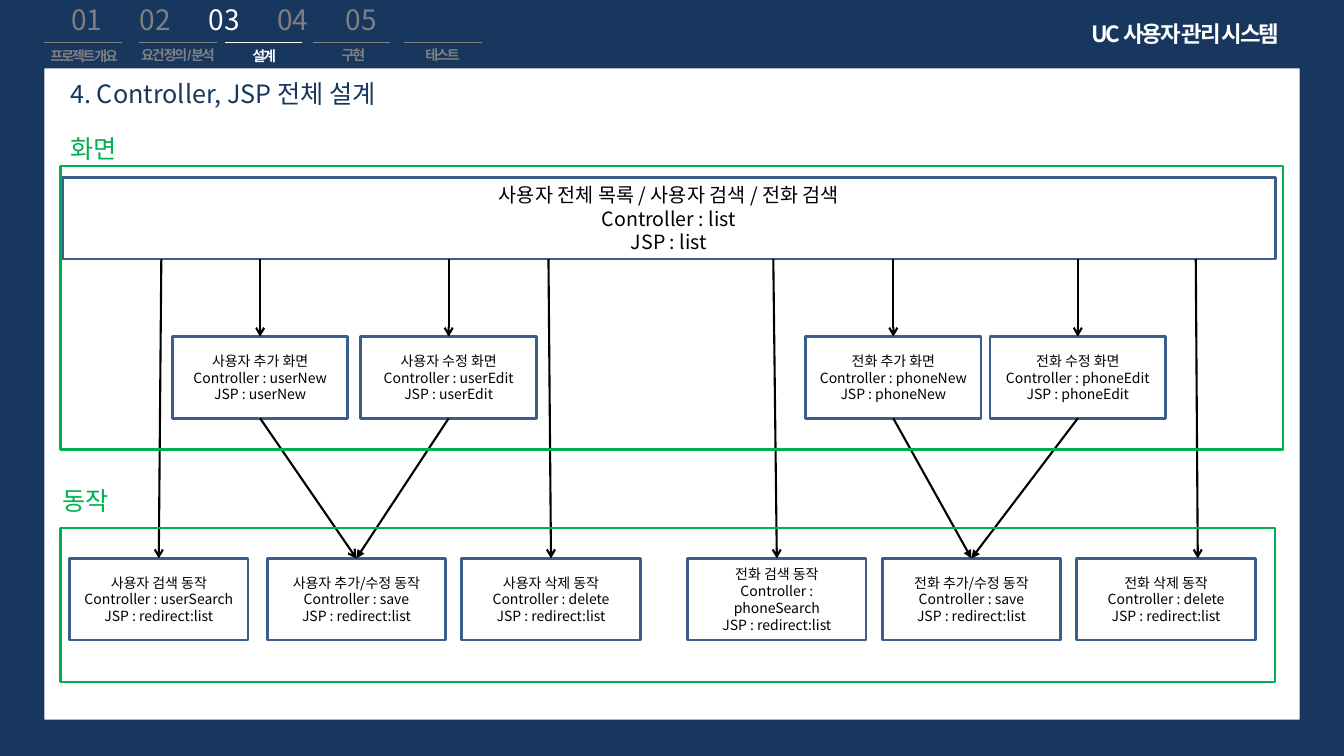
from pptx import Presentation, util as u
from pptx.dml.color import RGBColor
from pptx.enum import shapes, text
from pptx.oxml.ns import qn
from lxml import etree

NAVY = RGBColor(0x17, 0x37, 0x5E)
BLUE = RGBColor(0x3A, 0x5F, 0x8C)
GREEN = RGBColor(0x00, 0xB0, 0x50)
GRAY = RGBColor(0x80, 0x80, 0x80)
WHITE = RGBColor(0xFF, 0xFF, 0xFF)
BLACK = RGBColor(0x00, 0x00, 0x00)
FONT = "Noto Sans CJK KR"

# Rows and sizes of the diagram, in inches
LIST_TOP, SCREEN_TOP, ACTION_TOP = 1.76, 3.34, 5.54
BOX_HEIGHT, SCREEN_WIDTH, ACTION_WIDTH = 0.81, 1.74, 1.77
LIST_BOTTOM = LIST_TOP + BOX_HEIGHT
TAB_LINE = 0.42

presentation = Presentation()
presentation.slide_width, presentation.slide_height = u.Inches(13.33), u.Inches(7.5)
slide = presentation.slides.add_slide(presentation.slide_layouts[6])
slide.background.fill.solid()
slide.background.fill.fore_color.rgb = NAVY


def add_block(place, lines=(), size=10, color=BLACK, font=FONT, bold=False, spacing=None,
              align=text.PP_ALIGN.CENTER, outline=None, weight=2, fill=None, wrap=True, tabs=()):
    """Add a rectangle if it has a fill or outline, else a text box; a line is a list of (text, color) or text."""
    place = [u.Inches(length) for length in place]
    if outline or fill:
        shape = slide.shapes.add_shape(shapes.MSO_SHAPE.RECTANGLE, *place)
        shape.shadow.inherit = False
        if fill:
            shape.fill.solid()
            shape.fill.fore_color.rgb = fill
        else:
            shape.fill.background()
        if outline:
            shape.line.color.rgb = outline
            shape.line.width = u.Pt(weight)
        else:
            shape.line.fill.background()
        shape.text_frame.vertical_anchor = text.MSO_ANCHOR.MIDDLE
    else:
        shape = slide.shapes.add_textbox(*place)
        shape.text_frame.auto_size = text.MSO_AUTO_SIZE.SHAPE_TO_FIT_TEXT
    frame = shape.text_frame
    frame.word_wrap = wrap
    for index, line in enumerate(lines):
        paragraph = frame.paragraphs[0] if index == 0 else frame.add_paragraph()
        paragraph.alignment = align
        if tabs:
            stops = etree.SubElement(paragraph._p.get_or_add_pPr(), qn("a:tabLst"))
            for stop in tabs:
                etree.SubElement(stops, qn("a:tab"), pos=str(u.Inches(stop)), algn="l")
        for words, shade in [(line, color)] if isinstance(line, str) else line:
            run = paragraph.add_run()
            run.text = words
            run.font.size, run.font.bold, run.font.name = u.Pt(size), bold, font
            run.font.color.rgb = shade
            properties = run._r.get_or_add_rPr()
            etree.SubElement(properties, qn("a:ea"), typeface=FONT)
            if spacing:
                properties.set("spc", str(int(spacing * 100)))
    return shape


def add_line(start, end, color=BLACK, weight=1.5, head=None, source=None, target=None):
    """Draw a line, joined to the bottom of source and the top of target where given."""
    connector = slide.shapes.add_connector(
        shapes.MSO_CONNECTOR.STRAIGHT, *[u.Inches(length) for length in (*start, *end)])
    connector.line.color.rgb = color
    connector.line.width = u.Pt(weight)
    if head:
        etree.SubElement(connector.line._get_or_add_ln(), qn("a:tailEnd"), type=head)
    etree.SubElement(connector._element.spPr, qn("a:effectLst"))
    if source:
        connector.begin_connect(source, 2)
    if target:
        connector.end_connect(target, 0)


# White page and headings
add_block((0.44, 0.68, 12.45, 6.46), fill=WHITE)
for left, top, width, heading, color in [
    (0.6, 0.73, 4.14, "4. Controller, JSP 전체 설계", NAVY),
    (0.6, 1.27, 1.21, "화면", GREEN),
    (0.52, 4.77, 1.21, "동작", GREEN),
]:
    add_block((left, top, width, 0.4), [heading], size=18, color=color, align=text.PP_ALIGN.LEFT)

# List screen across the top
add_block((0.62, LIST_TOP, 12.03, BOX_HEIGHT),
          ["사용자 전체 목록 / 사용자 검색 / 전화 검색", "Controller : list", "JSP : list"],
          size=14, outline=BLUE)

# Screens, each reached from the list
screens = {}
for left, title, name in [
    (1.71, "사용자 추가 화면", "userNew"),
    (3.58, "사용자 수정 화면", "userEdit"),
    (7.99, "전화 추가 화면", "phoneNew"),
    (9.82, "전화 수정 화면", "phoneEdit"),
]:
    screens[name] = add_block((left, SCREEN_TOP, SCREEN_WIDTH, BOX_HEIGHT),
                              [title, f"Controller : {name}", f"JSP : {name}"], outline=BLUE)
    center = left + SCREEN_WIDTH / 2
    add_line((center, LIST_BOTTOM), (center, SCREEN_TOP), head="arrow", target=screens[name])

# Actions
actions = {}
for left, title, name in [
    (0.69, "사용자 검색 동작", "userSearch"),
    (2.65, "사용자 추가/수정 동작", "save"),
    (4.58, "사용자 삭제 동작", "delete"),
    (6.82, "전화 검색 동작", "phoneSearch"),
    (8.75, "전화 추가/수정 동작", "save"),
    (10.68, "전화 삭제 동작", "delete"),
]:
    actions[title] = add_block((left, ACTION_TOP, ACTION_WIDTH, BOX_HEIGHT),
                               [title, f"Controller : {name}", "JSP : redirect:list"], outline=BLUE)

# Screens lead to their save action
for name, title, head in [
    ("userNew", "사용자 추가/수정 동작", "arrow"),
    ("userEdit", "사용자 추가/수정 동작", "triangle"),
    ("phoneNew", "전화 추가/수정 동작", "triangle"),
    ("phoneEdit", "전화 추가/수정 동작", "triangle"),
]:
    add_line((0, 0), (0, 0), head=head, source=screens[name], target=actions[title])

# The list leads straight to search and delete
for start, end, title in [
    (1.6, 1.59, "사용자 검색 동작"),
    (5.44, 5.47, "사용자 삭제 동작"),
    (7.67, 7.69, "전화 검색 동작"),
    (11.86, 11.88, None),
]:
    add_line((start, LIST_BOTTOM), (end, ACTION_TOP), head="arrow", target=actions.get(title))

# Green frames around screens and actions
for place in [(0.6, 1.65, 12.13, 2.81), (0.6, 5.24, 12.05, 1.53)]:
    add_block(place, outline=GREEN, weight=1.5)

# Navigation: numbers, rules and labels
add_block((0.61, -0.02, 4.09, 0.44),
          [[("01\t02\t", GRAY), ("03", WHITE), ("\t04\t05", GRAY)]],
          size=20, align=text.PP_ALIGN.LEFT, tabs=[0.68 * step for step in range(1, 5)])
for rule, left, top, width, label, color in [
    (0.44, 0.29, 0.42, 1.09, "프로젝트 개요", GRAY),
    (1.38, 1.22, 0.41, 1.09, "요건 정의/분석", GRAY),
    (2.23, 2.32, 0.42, 0.6, "설계", WHITE),
    (3.1, 3.25, 0.41, 0.51, "구현", GRAY),
    (4.01, 4.06, 0.41, 0.66, "테스트", GRAY),
]:
    add_line((rule, TAB_LINE), (rule + 0.77, TAB_LINE), color=color, weight=0.75)
    add_block((left, top, width, 0.27), [label], color=color, font="Arial", bold=True, spacing=-1.5)

# System name
add_block((10.62, 0.15, 2.27, 0.37), ["UC 사용자 관리 시스템"], size=16, color=WHITE,
          bold=True, spacing=-1.5, wrap=False)

presentation.save("out.pptx")
